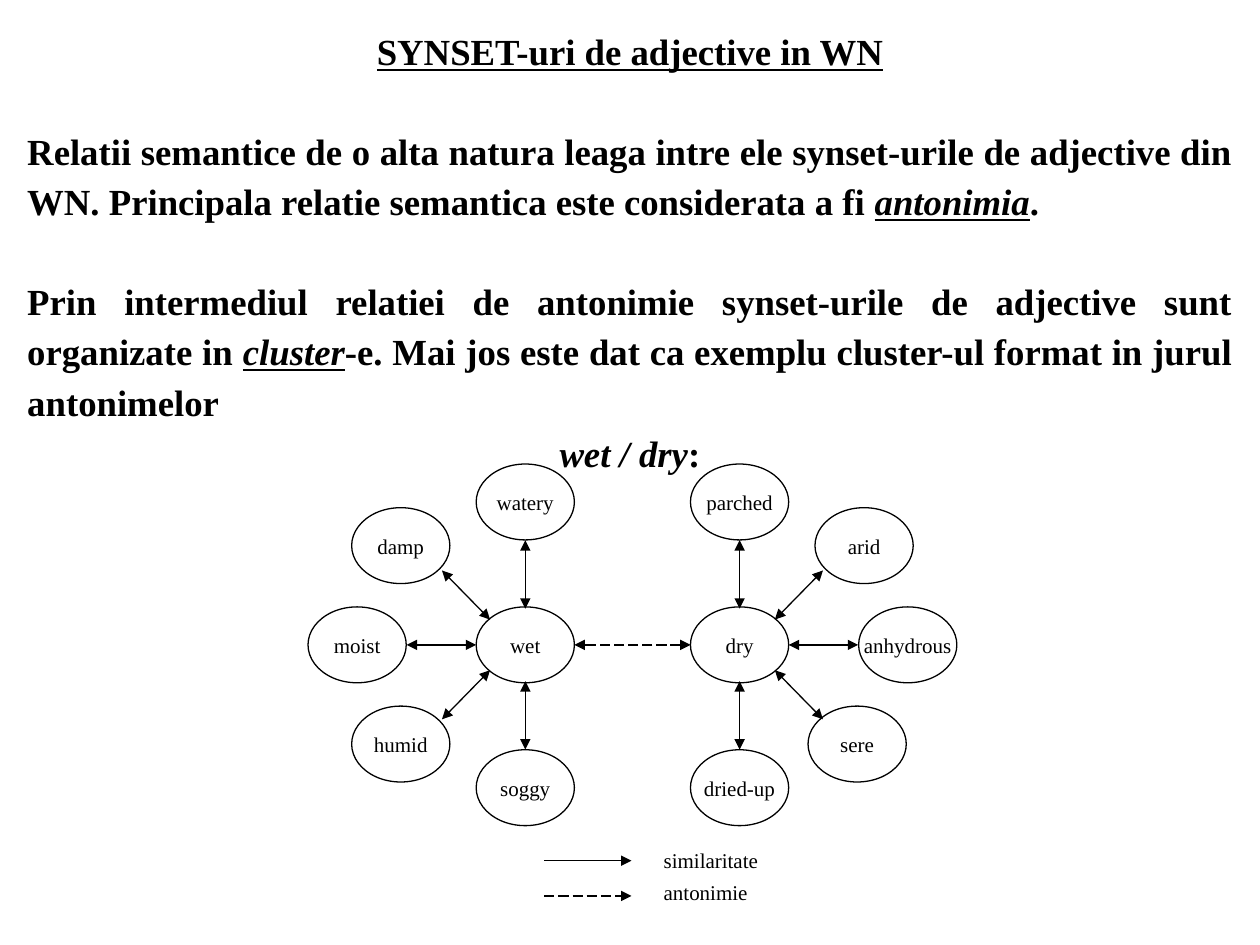
from dataclasses import dataclass
from lxml.etree import SubElement
from pptx import Presentation
from pptx.dml.color import RGBColor
from pptx.enum.dml import MSO_LINE_DASH_STYLE as DASH
from pptx.enum.shapes import MSO_CONNECTOR as CONN, MSO_SHAPE as SHAPE
from pptx.enum.text import MSO_ANCHOR as ANCHOR, PP_ALIGN as ALIGN
from pptx.oxml.ns import qn
from pptx.util import Cm, Pt


@dataclass(frozen=True)
class Theme:
    font: str = "Times New Roman"
    ink: RGBColor = RGBColor(0, 0, 0)
    paper: RGBColor = RGBColor(255, 255, 255)
    body: float = 21
    label: float = 12
    line: float = 0.75
    spacing: float = 1.15
    gap: float = 27.75


T = Theme()

BODY = [
    (ALIGN.CENTER, 0, [("SYNSET-uri de adjective in WN", "u")]),
    (ALIGN.JUSTIFY, T.gap, [
        ("Relatii semantice de o alta natura leaga intre ele synset-urile de adjective din WN. "
         "Principala relatie semantica este considerata a fi ", ""),
        ("antonimia", "iu"), (".", "")]),
    (ALIGN.JUSTIFY, T.gap, [
        ("Prin intermediul relatiei de antonimie synset-urile de adjective sunt organizate in ", ""),
        ("cluster", "iu"),
        ("-e. Mai jos este dat ca exemplu cluster-ul format in jurul antonimelor", "")]),
    (ALIGN.CENTER, 0, [("wet / dry", "i"), (":", "")]),
]

CLUSTERS = [
    ("wet", 10.59, [("watery", 0, -1), ("damp", -1, -1), ("moist", -1, 0),
                    ("humid", -1, 1), ("soggy", 0, 1)]),
    ("dry", 14.91, [("parched", 0, -1), ("arid", 1, -1), ("anhydrous", 1, 0),
                    ("sere", 1, 1), ("dried-up", 0, 1)]),
]
LEGEND = [("similaritate", 17.35, 16.97, False), ("antonimie", 18.06, 17.6, True)]

HUB_Y = 13.0
NODE_W, NODE_H = 1.98, 1.53
REACH = {(0, 1): (0, 2.88), (1, 0): (3.39, 0), (1, 1): (2.51, 2.0)}
ARROW = {(0, 1): (0, 0.73, 0, 2.11), (1, 0): (0.99, 0, 2.39, 0), (1, 1): (0.71, 0.51, 1.68, 1.5)}
NUDGE = {"sere": -0.14}

prs = Presentation()
prs.slide_width, prs.slide_height = Cm(25.4), Cm(19.05)
s = prs.slides.add_slide(prs.slide_layouts[6])


def add_run(p, text, size=T.label, bold=False, italic=False, underline=False):
    r = p.add_run()
    r.text = text
    f = r.font
    f.name, f.size, f.color.rgb = T.font, Pt(size), T.ink
    f.bold, f.italic, f.underline = bold, italic, underline


def add_box(x, y, w, h):
    tf = s.shapes.add_textbox(Cm(x), Cm(y), Cm(w), Cm(h)).text_frame
    tf.word_wrap = True
    return tf


def add_node(text, cx, cy):
    sp = s.shapes.add_shape(SHAPE.OVAL, Cm(cx - NODE_W / 2), Cm(cy - NODE_H / 2), Cm(NODE_W), Cm(NODE_H))
    sp.shadow.inherit = False
    sp.fill.solid()
    sp.fill.fore_color.rgb = T.paper
    sp.line.color.rgb, sp.line.width = T.ink, Pt(T.line)
    tf = sp.text_frame
    tf.word_wrap = False
    tf.vertical_anchor = ANCHOR.MIDDLE
    tf.margin_left = tf.margin_right = tf.margin_top = tf.margin_bottom = 0
    p = tf.paragraphs[0]
    p.alignment = ALIGN.CENTER
    add_run(p, text)


def add_arrow(x1, y1, x2, y2, both=True, dashed=False):
    c = s.shapes.add_connector(CONN.STRAIGHT, Cm(x1), Cm(y1), Cm(x2), Cm(y2))
    c.line.color.rgb, c.line.width = T.ink, Pt(T.line)
    if dashed:
        c.line.dash_style = DASH.LONG_DASH
    ln = c.line._get_or_add_ln()
    for end in ("a:headEnd", "a:tailEnd") if both else ("a:tailEnd",):
        SubElement(ln, qn(end), type="triangle")
    SubElement(c._element.spPr, qn("a:effectLst"))


tf = add_box(0.3, 0.33, 24.8, 18.39)
for i, (align, before, runs) in enumerate(BODY):
    p = tf.add_paragraph() if i else tf.paragraphs[0]
    p.alignment, p.line_spacing, p.space_before = align, T.spacing, Pt(before)
    for text, style in runs:
        add_run(p, text, size=T.body, bold=True, italic="i" in style, underline="u" in style)

for hub, hub_x, satellites in CLUSTERS:
    add_node(hub, hub_x, HUB_Y)
    for text, sx, sy in satellites:
        dx, dy = REACH[abs(sx), abs(sy)]
        add_node(text, hub_x + sx * dx + NUDGE.get(text, 0), HUB_Y + sy * dy)
        x1, y1, x2, y2 = ARROW[abs(sx), abs(sy)]
        add_arrow(hub_x + sx * x1, HUB_Y + sy * y1, hub_x + sx * x2, HUB_Y + sy * y2)

(_, wet_x, _), (_, dry_x, _) = CLUSTERS
add_arrow(dry_x - NODE_W / 2, HUB_Y, wet_x + NODE_W / 2, HUB_Y, dashed=True)

for text, line_y, text_y, dashed in LEGEND:
    add_arrow(10.97, line_y, 12.73, line_y, both=False, dashed=dashed)
    add_run(add_box(13.13, text_y, 2.95, 0.89).paragraphs[0], text)

prs.save("out.pptx")
